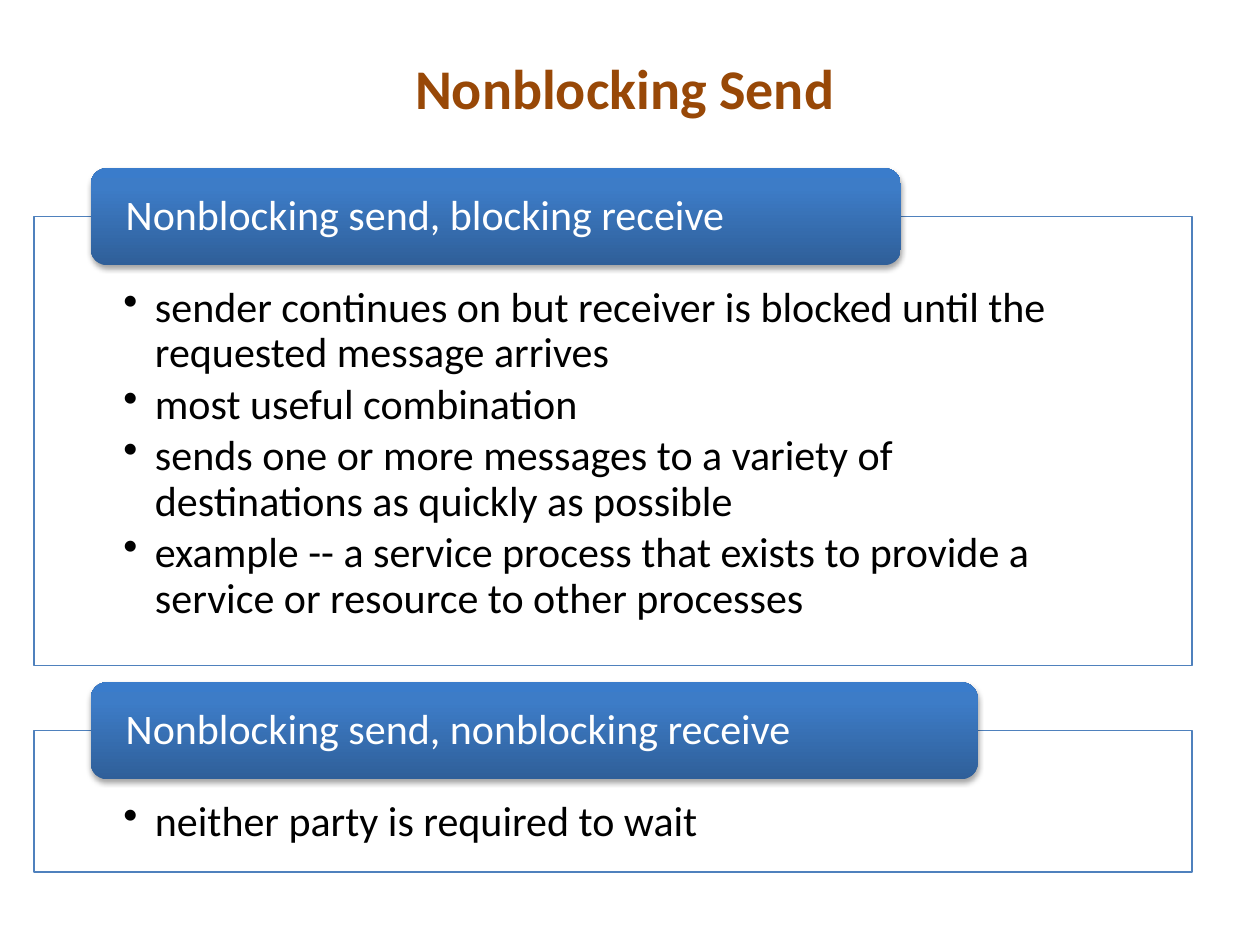
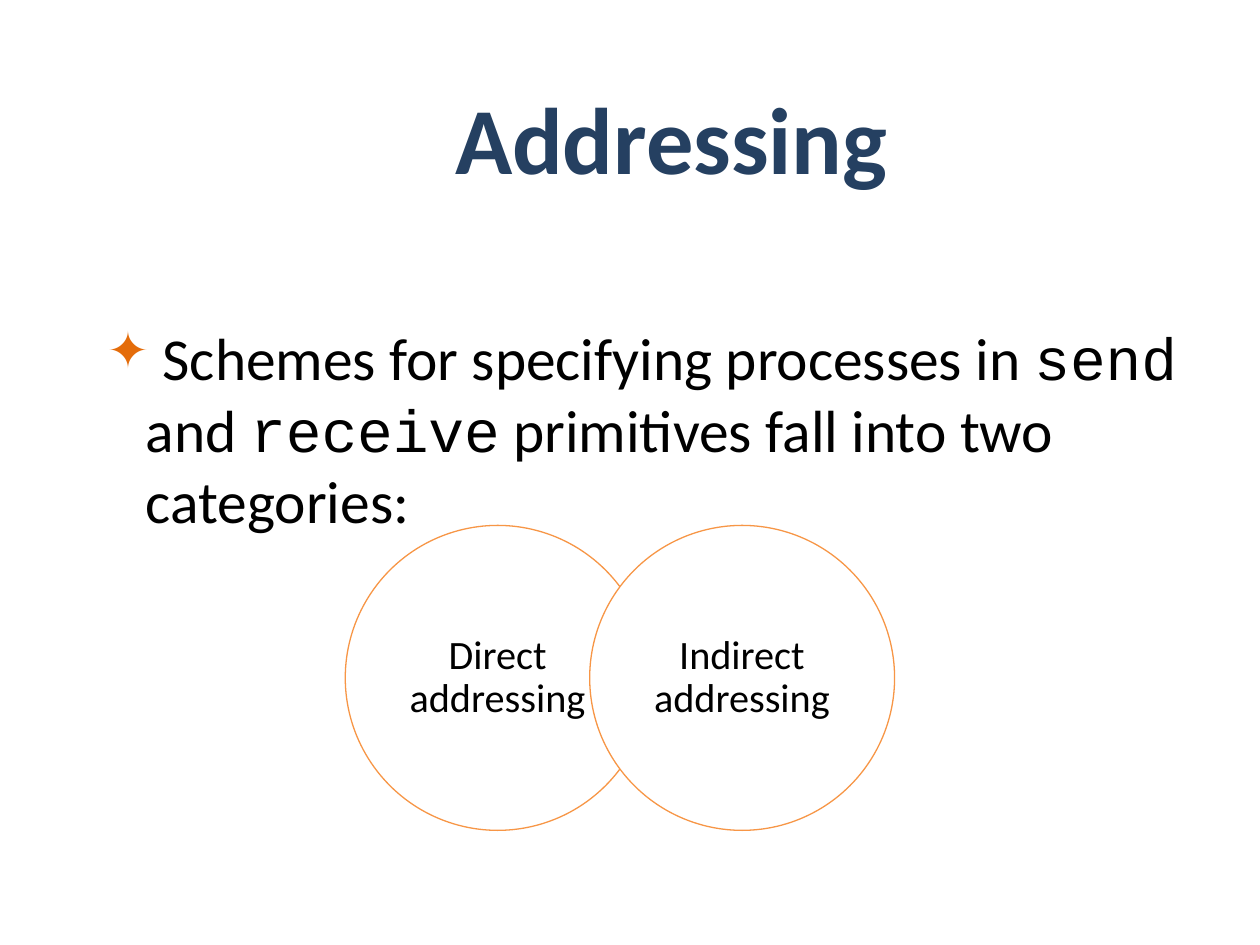
"""Build two slides on nonblocking message passing and addressing schemes."""
from pptx import Presentation
from pptx.dml.color import RGBColor
from pptx.enum.shapes import MSO_SHAPE as Shape
from pptx.enum.text import MSO_ANCHOR as Anchor, PP_ALIGN as Align
from pptx.oxml import parse_xml
from pptx.oxml.ns import nsdecls
from pptx.util import Inches, Pt

presentation = Presentation()
presentation.slide_width, presentation.slide_height = Inches(10), Inches(7.5)
COLUMN = presentation.slide_width / 100
ROW = presentation.slide_height / 75
BLANK = presentation.slide_layouts[6]
BROWN, NAVY, BLUE = "984807", "254061", "4F81BD"
ORANGE, BULLET_ORANGE = "F79646", "E46C0A"
WHITE, BLACK = "FFFFFF", "000000"
GRADIENT_STOPS = [(0, "2F5F99"), (80, "3D7CC7"), (100, "3A7CCB")]


def color(value):
    return RGBColor.from_string(value)


def add_text(slide, kind, box, lines, size, ink, insets=(1, 0.5, 1, 0.5),
             anchor=Anchor.MIDDLE, align=Align.LEFT, spacing=0.9, outline=None):
    left, top, width, height = box
    bounds = [round(length) for length in
              (left * COLUMN, top * ROW, width * COLUMN, height * ROW)]
    if kind is None:
        shape = slide.shapes.add_textbox(*bounds)
    else:
        shape = slide.shapes.add_shape(kind, *bounds)
    if outline:
        shape.shadow.inherit = False
        shape.fill.solid()
        shape.fill.fore_color.rgb = color(WHITE)
        shape.line.color.rgb = color(outline)
        shape.line.width = Pt(0.75)
    frame = shape.text_frame
    frame.word_wrap = True
    frame.vertical_anchor = anchor
    frame.margin_left, frame.margin_top, frame.margin_right, frame.margin_bottom = [
        round(inset * COLUMN) for inset in insets]
    for index, line in enumerate(lines):
        paragraph = frame.paragraphs[0] if index == 0 else frame.add_paragraph()
        paragraph.text = line
        paragraph.alignment = align
        paragraph.line_spacing = spacing
        paragraph.font.name = "Calibri"
        paragraph.font.size = Pt(size)
        paragraph.font.color.rgb = color(ink)
    return shape


slide = presentation.slides.add_slide(BLANK)
title = add_text(slide, None, (6.8, 2.5, 85.6, 8.9), ["Nonblocking Send"], 32, BROWN,
                 align=Align.CENTER, spacing=1.0)
title.text_frame.paragraphs[0].font.bold = True

HEADER_HEIGHT = 7.7
sections = [
    (17.2, 35.6, 64.3, "Nonblocking send, blocking receive", [
        "sender continues on but receiver is blocked until the requested message arrives",
        "most useful combination",
        "sends one or more messages to a variety of destinations as quickly as possible",
        "example -- a service process that exists to provide a service or resource "
        "to other processes"]),
    (58, 11.2, 70.4, "Nonblocking send, nonblocking receive", [
        "neither party is required to wait"]),
]
for panel_top, panel_height, header_width, heading, points in sections:
    panel = add_text(slide, Shape.RECTANGLE, (2.7, panel_top, 91.9, panel_height), points,
                     24, BLACK, (7.1, 5.5, 7.1, 1.9), Anchor.TOP, outline=BLUE)
    for paragraph in panel.text_frame.paragraphs:
        paragraph.space_after = Pt(3.6)
        properties = paragraph._p.get_or_add_pPr()
        properties.set("marL", str(Inches(0.25)))
        properties.set("indent", str(Inches(-0.25)))
        properties.append(parse_xml(f'<a:buChar {nsdecls("a")} char="•"/>'))
    header_top = panel_top - HEADER_HEIGHT / 2
    header = add_text(slide, Shape.ROUNDED_RECTANGLE,
                      (7.2, header_top, header_width, HEADER_HEIGHT),
                      [heading], 24, WHITE, (2.4, 0, 2.4, 0))
    stops = "".join(f'<a:gs pos="{share * 1000}"><a:srgbClr val="{value}"/></a:gs>'
                    for share, value in GRADIENT_STOPS)
    header_properties = header._element.spPr
    header_properties.append(parse_xml(
        f'<a:gradFill {nsdecls("a")} rotWithShape="1"><a:gsLst>{stops}</a:gsLst>'
        '<a:lin ang="16200000" scaled="0"/></a:gradFill>'))
    header.line.fill.background()
    header_properties.append(parse_xml(
        f'<a:effectLst {nsdecls("a")}><a:outerShdw blurRad="{Pt(3.1)}" dist="{Pt(1.8)}" '
        f'dir="5400000" rotWithShape="0"><a:srgbClr val="{BLACK}"><a:alpha val="35000"/>'
        '</a:srgbClr></a:outerShdw></a:effectLst>'))

slide = presentation.slides.add_slide(BLANK)
title = add_text(slide, None, (10.5, 5, 85.6, 11.7), ["Addressing"], 54, NAVY,
                 align=Align.CENTER, spacing=1.0)
title.text_frame.paragraphs[0].font.bold = True

body = add_text(slide, None, (2.5, 25, 95.8, 20), [""], 34, BLACK,
                anchor=Anchor.TOP, spacing=1.0)
paragraph = body.text_frame.paragraphs[0]
paragraph.space_before = Pt(6.8)
for text, font_name in [(" Schemes for specifying processes in ", "Calibri"),
                        ("send", "Courier New"),
                        (" and ", "Calibri"),
                        ("receive", "Courier New"),
                        (" primitives fall into two categories:", "Calibri")]:
    run = paragraph.add_run()
    run.text = text
    run.font.name = font_name
    run.font.size = Pt(34)
    run.font.color.rgb = color(BLACK)
properties = paragraph._p.get_or_add_pPr()
properties.set("marL", str(Inches(0.81)))
properties.set("indent", str(Inches(-0.31)))
bullet_color = f'<a:buClr {nsdecls("a")}><a:srgbClr val="{BULLET_ORANGE}"/></a:buClr>'
bullet_size = f'<a:buSzPct {nsdecls("a")} val="85000"/>'
bullet_mark = f'<a:buChar {nsdecls("a")} char="✦"/>'
for position, element in enumerate((bullet_color, bullet_size, bullet_mark)):
    properties.insert(2 + position, parse_xml(element))

DIAMETER, CIRCLE_STEP = 24.2, 19.4
for index, label in enumerate(("Direct addressing", "Indirect addressing")):
    circle = add_text(slide, Shape.OVAL,
                      (27.4 + index * CIRCLE_STEP, 41.7, DIAMETER, DIAMETER),
                      [label], 23, BLACK, (1.3, 0.3, 1.3, 0.3),
                      align=Align.CENTER, outline=ORANGE)

presentation.save("out.pptx")
